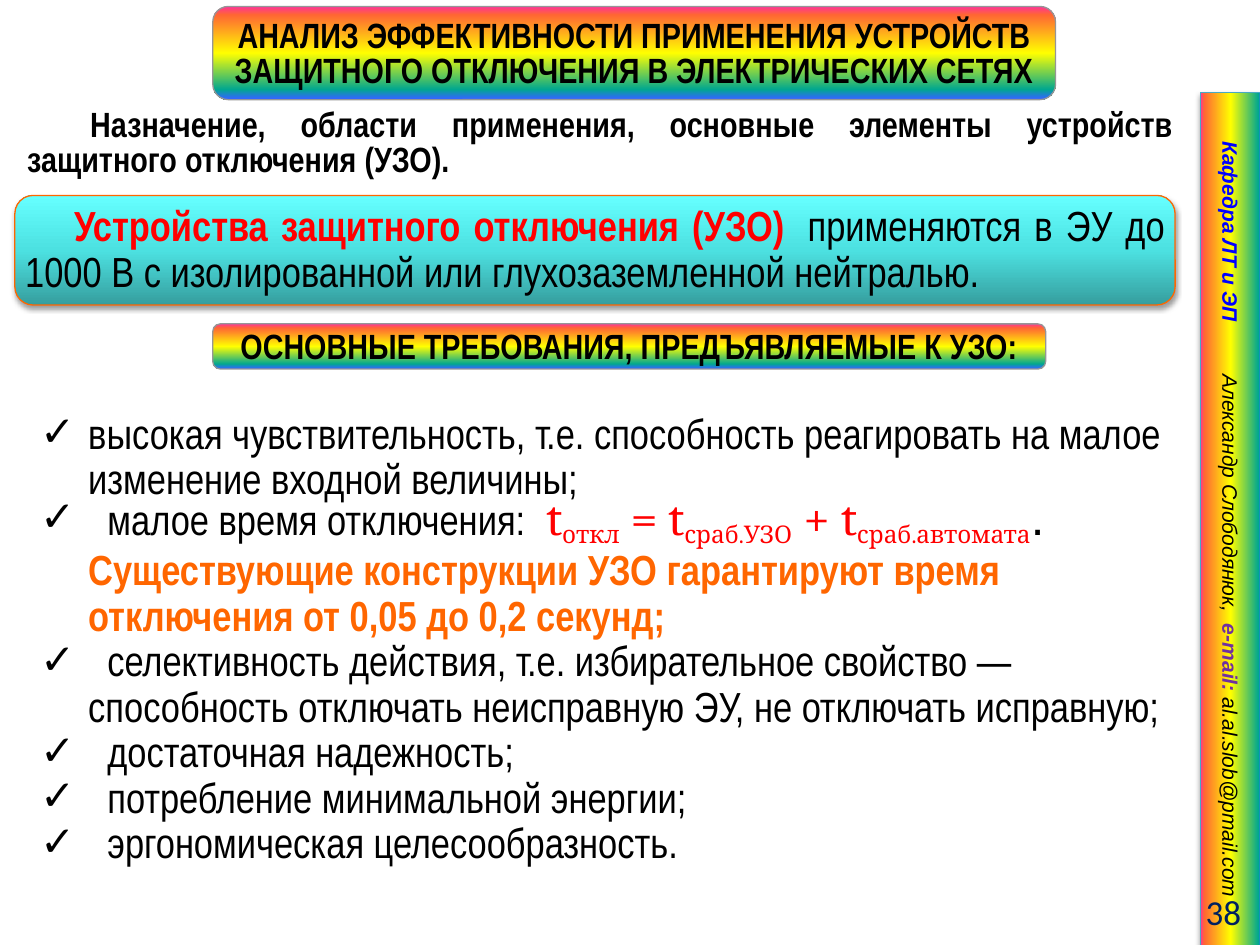
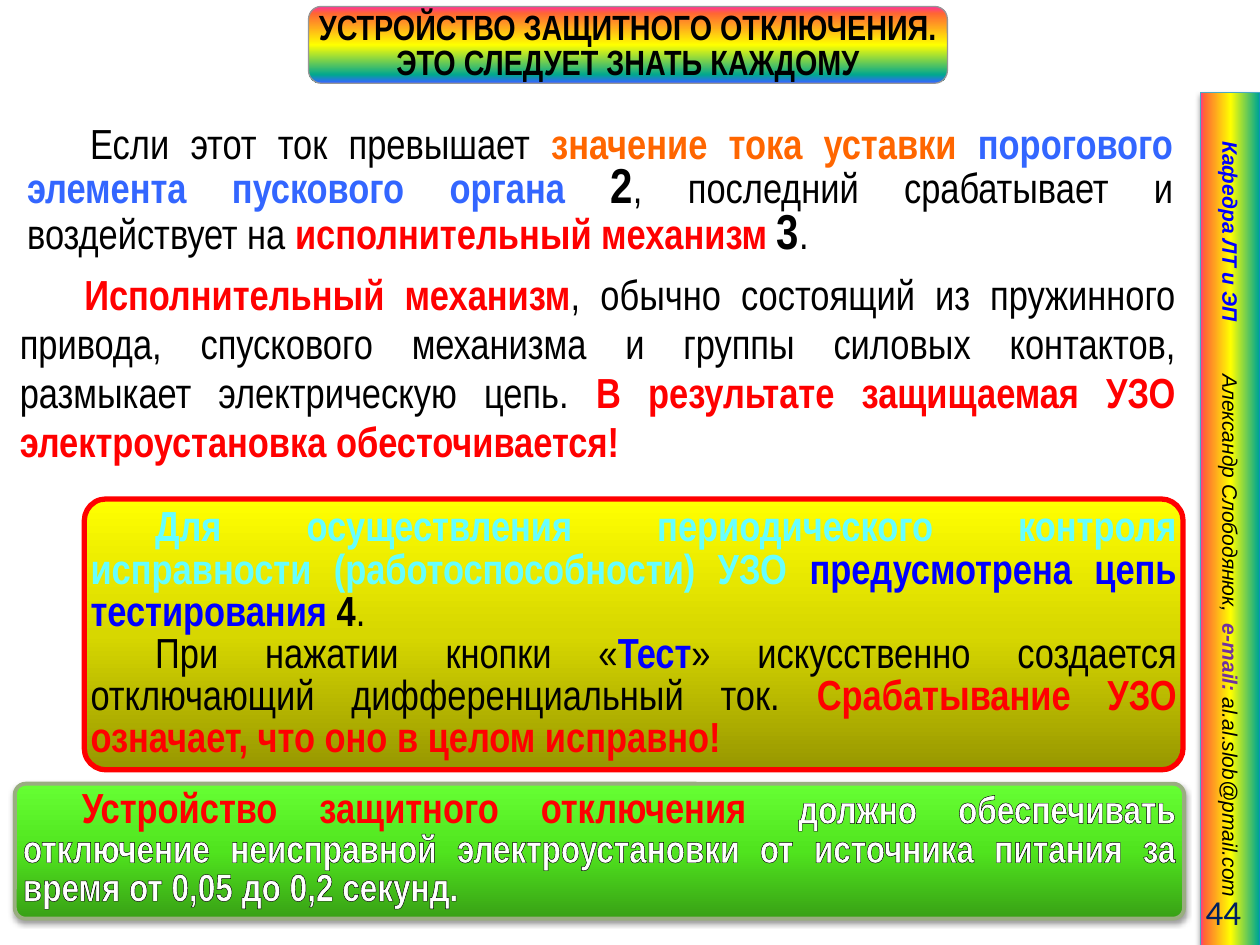
import pptx
import pptx.util
import pptx.dml.color
import pptx.enum.shapes
import pptx.enum.text
import pptx.oxml
import pptx.oxml.ns

Cm, Pt = pptx.util.Cm, pptx.util.Pt
RGB = pptx.dml.color.RGBColor
SHAPE = pptx.enum.shapes.MSO_SHAPE
ALIGN = pptx.enum.text.PP_ALIGN
ANCHOR = pptx.enum.text.MSO_ANCHOR
NS = pptx.oxml.ns.nsdecls("a")

COLORS = {
    "black": "000000", "white": "FFFFFF", "red": "FF0000", "orange": "FF6600",
    "blue": "0000FF", "azure": "3366FF", "cyan": "66FFFF", "purple": "7030A0",
    "navy": "002060", "grey": "969696", "teal": "46AAC5", "sage": "99AD80",
    "pink": "FF3399", "coral": "FF6633", "yellow": "FFFF00", "green": "01A78F",
}


def rainbow(*places):
    names = ("pink", "coral", "yellow", "green", "azure")
    return [(at, COLORS[name]) for at, name in zip(places, names)]


GRADIENTS = {
    "title": (90, rainbow(0, 9, 50, 89, 99)),
    "band": (270, rainbow(0, 6, 50, 96, 100)),
    "aqua": (270, [(0, "369E9E"), (50, "4CE1E1"), (100, "66FFFF")]),
    "lime": (270, [(0, "38A015"), (50, "50E41E"), (100, "66FF33")]),
    "gold": (270, [(0, "979700"), (50, "D7D700"), (100, "FFFF00")]),
}
HAIR = (0.07, 55)
THIN = (0.75, 100)
FULL = (1, 100)
INSET = 0.1


def run(text, color="black", **style):
    return text, dict(style, color=color)


def strong(text, color="red", out=THIN, **style):
    return run(text, color, bold=True, out=out, **style)


def gap(width, **style):
    return run(" ", spc=width, **style)


class Deck:
    """Holds the shared style and the slide being drawn."""

    def __init__(self):
        self.prs = pptx.Presentation()
        self.prs.slide_width, self.prs.slide_height = Cm(25.4), Cm(19.05)
        self.s = None

    def slide(self, number):
        self.s = self.prs.slides.add_slide(self.prs.slide_layouts[6])
        sp = self.shape((16.21, 9.86, 17.2, 1.22), "band", "teal", 0.75, SHAPE.RECTANGLE, shadow=True)
        sp.rotation = 90
        style = {"font": "Arial", "italic": True}
        self.fill_text(sp, [[
            run("Кафедра ЛТ и ЭП", "blue", bold=True, **style), gap(26.7, **style),
            run("Александр Слободянюк,", **style), gap(3.3, **style),
            run("e-mail: ", "purple", bold=True, **style),
            run("al.al.slob@pmail.com", **style),
        ]], size=12, align=ALIGN.CENTER)
        self.text((22.5, 17.86, 2.77, 1.02), [[run(number, "navy", font="Calibri")]],
                  size=20, align=ALIGN.RIGHT)

    def shape(self, at, gradient, line, width, kind=SHAPE.ROUNDED_RECTANGLE, radius=None, shadow=False):
        sp = self.s.shapes.add_shape(kind, *map(Cm, at))
        if radius:
            sp.adjustments[0] = radius
        angle, stops = GRADIENTS[gradient]
        marks = "".join(f'<a:gs pos="{p * 1000}"><a:srgbClr val="{c}"/></a:gs>' for p, c in stops)
        sp._element.spPr.append(pptx.oxml.parse_xml(
            f'<a:gradFill {NS} rotWithShape="1"><a:gsLst>{marks}</a:gsLst>'
            f'<a:lin ang="{angle * 60000}" scaled="0"/></a:gradFill>'))
        sp.line.color.rgb = RGB.from_string(COLORS[line])
        sp.line.width = Pt(width)
        sp.shadow.inherit = False
        if shadow:
            effects = sp._element.spPr.find(pptx.oxml.ns.qn("a:effectLst"))
            effects.append(pptx.oxml.parse_xml(
                f'<a:outerShdw {NS} blurRad="{Pt(3.1)}" dist="{Pt(1.6)}" dir="5400000" rotWithShape="0">'
                '<a:srgbClr val="000000"><a:alpha val="38000"/></a:srgbClr></a:outerShdw>'))
        return sp

    def title(self, at, text):
        sp = self.shape(at, "title", "grey", 0.75)
        self.fill_text(sp, [[run(text, bold=True)]], size=20, spacing=20,
                       align=ALIGN.CENTER, inset=(INSET, INSET, INSET, 0))

    def panel(self, at, paragraphs, look, inset=(INSET,) * 4, **style):
        self.fill_text(self.shape(at, **look), paragraphs, inset=inset, **style)

    def text(self, at, paragraphs, **style):
        self.fill_text(self.s.shapes.add_textbox(*map(Cm, at)), paragraphs, **style)

    def fill_text(self, sp, paragraphs, size=24, spacing=None, align=ALIGN.JUSTIFY, first=0,
                  hanging=None, anchor=ANCHOR.MIDDLE, inset=(0.25, 0.13, 0.25, 0.13)):
        tf = sp.text_frame
        tf.word_wrap = True
        tf.vertical_anchor = anchor
        tf.margin_left, tf.margin_top, tf.margin_right, tf.margin_bottom = map(Cm, inset)
        for i, runs in enumerate(paragraphs):
            p = tf.add_paragraph() if i else tf.paragraphs[0]
            p.alignment = align
            if spacing:
                p.line_spacing = Pt(spacing)
            pPr = p._p.get_or_add_pPr()
            pPr.set("marL", str(Cm(hanging or 0)))
            pPr.set("indent", str(Cm(-hanging if hanging else first)))
            if hanging:
                pPr.append(pptx.oxml.parse_xml(f'<a:buFont {NS} typeface="Arial"/>'))
                pPr.append(pptx.oxml.parse_xml(f'<a:buChar {NS} char="✓"/>'))
            for text, style in runs:
                self.add_run(p, text, **{"size": size, **style})

    def add_run(self, p, text, color, size, font="Arial Narrow", bold=False, italic=False,
                out=None, base=0, spc=0):
        r = p.add_run()
        r.text = text
        r.font.size, r.font.name = Pt(size), font
        r.font.bold, r.font.italic = bold, italic
        r.font.color.rgb = RGB.from_string(COLORS[color])
        rPr = r._r.get_or_add_rPr()
        if base:
            rPr.set("baseline", str(base * 1000))
        if spc:
            rPr.set("spc", str(round(spc * 100)))
        if out:
            width, alpha = out
            rPr.insert(0, pptx.oxml.parse_xml(
                f'<a:ln {NS} w="{Pt(width)}"><a:solidFill><a:srgbClr val="000000">'
                f'<a:alpha val="{alpha * 1000}"/></a:srgbClr></a:solidFill></a:ln>'))


def requirements(deck):
    deck.slide("38")
    formula = {"color": "red", "font": "Cambria", "out": HAIR}
    terms = [("t", "откл"), (" = t", "сраб.УЗО"), (" + t", "сраб.автомата")]
    timing = [run(text, size=size, base=base, **formula)
              for term, index in terms
              for text, size, base in ((term, 28, 0), (index, 24, -20))]
    items = [
        [run("высокая чувствительность, т.е. способность реагировать на малое "
             "изменение входной величины;")],
        [gap(5.5), run("малое время отключения:"), gap(6.5), *timing,
         run(". ", size=28, font="Arial"),
         strong("Существующие конструкции УЗО гарантируют время отключения "
                "от 0,05 до 0,2 секунд;", "orange", FULL)],
    ]
    items += [[gap(5.5), run(text)] for text in (
        "селективность действия, т.е. избирательное свойство — способность отключать "
        "неисправную ЭУ, не отключать исправную;",
        "достаточная надежность;",
        "потребление минимальной энергии;",
        "эргономическая целесообразность.")]
    deck.text((0.71, 8.13, 23.19, 9.53), items, spacing=26, align=ALIGN.LEFT,
              hanging=0.97, inset=(INSET,) * 4)
    deck.title((4.29, 0.13, 16.99, 1.88),
               "АНАЛИЗ ЭФФЕКТИВНОСТИ ПРИМЕНЕНИЯ УСТРОЙСТВ ЗАЩИТНОГО ОТКЛЮЧЕНИЯ В ЭЛЕКТРИЧЕСКИХ СЕТЯХ")
    deck.title((4.29, 6.53, 16.79, 0.91), "ОСНОВНЫЕ ТРЕБОВАНИЯ, ПРЕДЪЯВЛЯЕМЫЕ К УЗО:")
    deck.text((0.3, 2.08, 23.6, 1.68), [[
        run("Назначение, области применения, основные элементы устройств "
            "защитного отключения (УЗО).", bold=True)]],
        size=20, spacing=20, first=1.27, anchor=ANCHOR.TOP)
    deck.panel((0.3, 3.94, 23.39, 2.21), [[
        strong("Устройства защитного отключения (УЗО)"), gap(5.5),
        run("применяются в ЭУ до 1000 В с изолированной или глухозаземленной нейтралью.")]],
        {"gradient": "aqua", "line": "orange", "width": 0.75, "shadow": True},
        spacing=26, first=0.99)


def operation(deck):
    deck.slide("44")
    deck.text((0.3, 5.33, 23.5, 4.19), [[
        strong("Исполнительный механизм"),
        run(", обычно состоящий из пружинного привода, спускового механизма и группы "
            "силовых контактов, размыкает электрическую цепь. "),
        strong("В результате защищаемая УЗО электроустановка обесточивается!")]],
        spacing=28, first=1.3, inset=(INSET,) * 4)
    deck.title((6.22, 0.13, 12.88, 1.55),
               "УСТРОЙСТВО ЗАЩИТНОГО ОТКЛЮЧЕНИЯ. ЭТО СЛЕДУЕТ ЗНАТЬ КАЖДОМУ")
    deck.text((0.3, 2.34, 23.6, 3.02), [[
        run("Если этот ток превышает "),
        strong("значение тока уставки ", "orange"),
        strong("порогового элемента пускового органа ", "azure", FULL),
        run("2", size=28, bold=True),
        run(", последний срабатывает и воздействует на "),
        strong("исполнительный механизм "),
        run("3", size=28, bold=True), run(".")]],
        spacing=26, first=1.27, anchor=ANCHOR.TOP)
    deck.panel((0.3, 15.8, 23.57, 2.72), [[
        strong("Устройство защитного отключения"), gap(5.5),
        strong("должно обеспечивать отключение неисправной электроустановки от источника "
               "питания за время от 0,05 до 0,2 секунд.", "white", FULL, size=22)]],
        {"gradient": "lime", "line": "sage", "width": 2.25, "radius": 0.08, "shadow": True},
        spacing=22, first=1.19)
    deck.panel((1.7, 10.06, 22.15, 5.46), [
        [strong("Для осуществления периодического контроля исправности "
                "(работоспособности) УЗО ", "cyan", HAIR),
         strong("предусмотрена цепь тестирования ", "blue", HAIR),
         run("4", bold=True), run(".")],
        [run("При нажатии кнопки «"), strong("Тест", "blue", HAIR),
         run("» искусственно создается отключающий дифференциальный ток. "),
         strong("Срабатывание УЗО означает, что оно в целом исправно!", out=HAIR)]],
        {"gradient": "gold", "line": "red", "width": 3, "radius": 0.08},
        inset=(0, INSET, 0, INSET), spacing=24, first=1.3)


def main():
    deck = Deck()
    requirements(deck)
    operation(deck)
    deck.prs.save("out.pptx")


if __name__ == "__main__":
    main()
